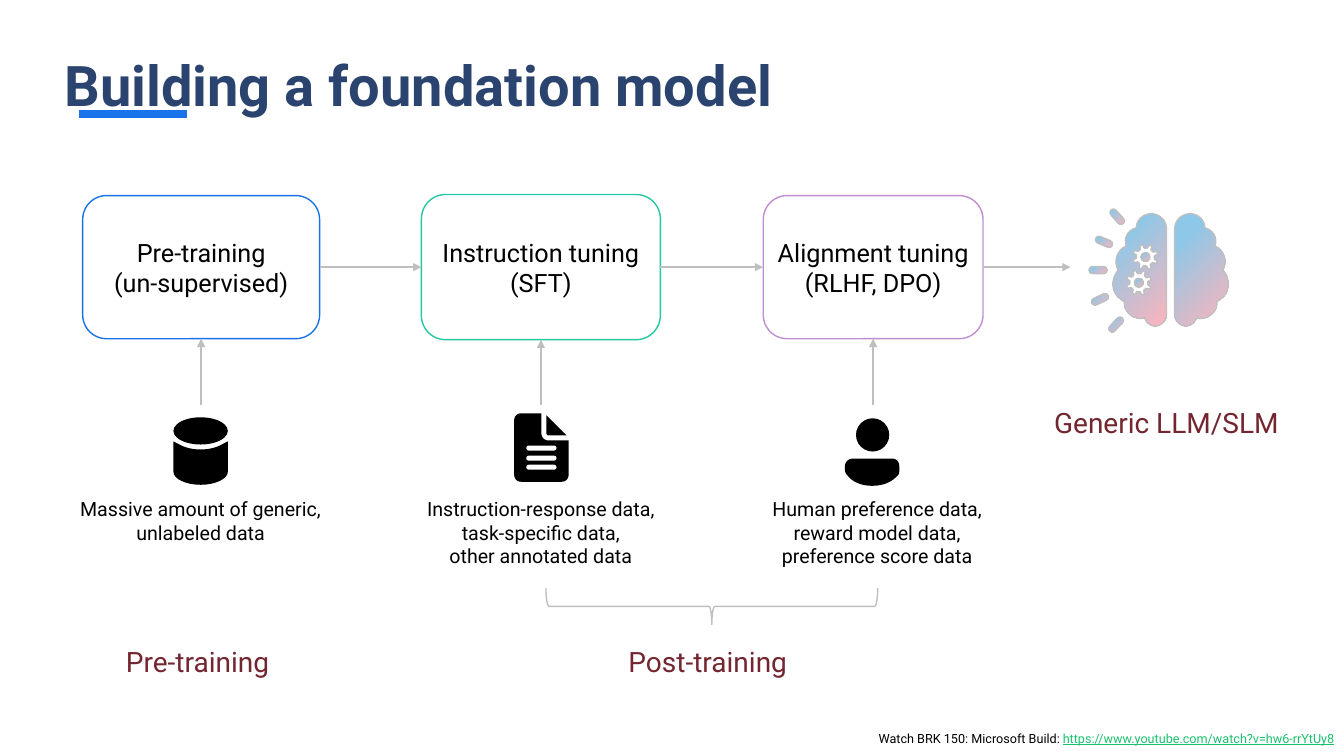
from dataclasses import dataclass
from math import cos, radians, sin

from lxml.etree import SubElement
from pptx import Presentation
from pptx.dml.color import RGBColor as Rgb
from pptx.enum.shapes import MSO_CONNECTOR as Connector, MSO_SHAPE as Preset
from pptx.enum.text import MSO_ANCHOR as Anchor, MSO_AUTO_SIZE as AutoSize, PP_ALIGN as Align
from pptx.oxml.ns import qn
from pptx.util import Pt

PX = 9144  # EMU per px, 100 px to the inch
TOP, LEFT, BOTTOM, RIGHT = range(4)


@dataclass(frozen=True)
class Theme:
    font: str = "Roboto"
    ink: str = "000000"
    paper: str = "FFFFFF"
    title: str = "2A446F"
    label: str = "73262F"
    link: str = "1AC16E"
    gray: str = "BFBFBF"
    blue: str = "1973EB"
    green: str = "25C8A2"
    purple: str = "BF8ED1"
    pink: str = "FFB3BB"
    sky: str = "8DC8E8"
    title_size: int = 40
    label_size: int = 20
    stage_size: int = 18
    data_size: int = 14
    note_size: int = 9


def flatten(contour, steps=8):
    """Turn a start point, lines (x, y) and cubic curves (6 numbers) into points."""
    points = [contour[0]]
    for segment in contour[1:]:
        if len(segment) == 2:
            points.append(segment)
            continue
        (x0, y0), (x1, y1, x2, y2, x3, y3) = points[-1], segment
        for step in range(1, steps + 1):
            t = step / steps
            a, b, c, d = (1 - t) ** 3, 3 * t * (1 - t) ** 2, 3 * t * t * (1 - t), t ** 3
            points.append((a * x0 + b * x1 + c * x2 + d * x3, a * y0 + b * y1 + c * y2 + d * y3))
    return points


def gear(x, y, teeth=8):
    corners = ((-13, 9), (-6, 12.5), (6, 12.5), (13, 9))
    angles = [(radians(25 + 360 / teeth * tooth + turn), radius)
              for tooth in range(teeth) for turn, radius in corners]
    return [(x + radius * cos(angle), y + radius * sin(angle)) for angle, radius in angles]


class Page:
    def __init__(self, deck, theme):
        self.theme = theme
        self.slide = deck.slides.add_slide(deck.slide_layouts[5])
        self.shapes = self.slide.shapes

    def set_text(self, shape, lines, size, color, align=Align.CENTER, bold=False):
        frame = shape.text_frame
        frame.word_wrap = True
        frame.text = "\n".join(lines)
        for para in frame.paragraphs:
            para.alignment = align
            for span in para.runs:
                font = span.font
                font.name, font.size, font.bold = self.theme.font, Pt(size), bold
                font.color.rgb = Rgb.from_string(color)
        return frame

    def margins(self, frame, x, y):
        frame.margin_left = frame.margin_right = x * PX
        frame.margin_top = frame.margin_bottom = y * PX

    def title(self, text, x, y, width, height):
        box = self.shapes.title
        box.left, box.top, box.width, box.height = (n * PX for n in (x, y, width, height))
        frame = self.set_text(box, [text], self.theme.title_size, self.theme.title,
                              Align.LEFT, True)
        frame.vertical_anchor, frame.auto_size = Anchor.TOP, AutoSize.NONE
        self.margins(frame, 0, 0)

    def text(self, lines, x, y, width, height, size, color):
        box = self.shapes.add_textbox(*(n * PX for n in (x, y, width, height)))
        frame = self.set_text(box, lines, size, color)
        self.margins(frame, 0, 0)

    def reference(self, lead, address, x, y, width, height):
        box = self.shapes.add_textbox(*(n * PX for n in (x, y, width, height)))
        frame = self.set_text(box, [lead], self.theme.note_size, self.theme.ink, Align.RIGHT)
        span = frame.paragraphs[0].add_run()
        span.text = address
        span.font.name, span.font.size = self.theme.font, Pt(self.theme.note_size)
        span.font.underline = True
        span.font.color.rgb = Rgb.from_string(self.theme.link)

    def paint(self, shape, fill=None, line=None, weight=1):
        shape.shadow.inherit = False
        if fill:
            shape.fill.solid()
            shape.fill.fore_color.rgb = Rgb.from_string(fill)
        else:
            shape.fill.background()
        if line:
            shape.line.color.rgb = Rgb.from_string(line)
            shape.line.width = Pt(weight)
        else:
            shape.line.fill.background()
        return shape

    def preset(self, kind, x, y, width, height, fill=None, line=None):
        shape = self.shapes.add_shape(kind, *(round(n * PX) for n in (x, y, width, height)))
        return self.paint(shape, fill, line)

    def outline(self, contours, fill=None):
        first, *rest = [[(x * PX, y * PX) for x, y in flatten(c)] for c in contours]
        builder = self.shapes.build_freeform(*first[0])
        builder.add_line_segments(first[1:])
        for points in rest:
            builder.move_to(*points[0])
            builder.add_line_segments(points[1:])
        return self.paint(builder.convert_to_shape(), fill)

    def glow(self, shape):
        """Radial pink to sky fill with a thin gray edge."""
        self.paint(shape, self.theme.pink, self.theme.gray, 0.9)
        shape.fill.gradient()
        stops = zip(shape.fill.gradient_stops, (self.theme.pink, self.theme.sky), (0, 0.8))
        for stop, color, position in stops:
            stop.color.rgb, stop.position = Rgb.from_string(color), position
        gradient = shape._element.spPr.find(qn("a:gradFill"))
        gradient.remove(gradient.find(qn("a:lin")))
        circle = SubElement(gradient, qn("a:path"), {"path": "circle"})
        SubElement(circle, qn("a:fillToRect"), l="100000", t="100000")

    def line(self, x1, y1, x2, y2, color, weight=1, arrow=False):
        line = self.shapes.add_connector(Connector.STRAIGHT, *(n * PX for n in (x1, y1, x2, y2)))
        line.line.color.rgb, line.line.width = Rgb.from_string(color), Pt(weight)
        properties = line._element.spPr
        if arrow:
            SubElement(properties.find(qn("a:ln")), qn("a:tailEnd"), type="triangle")
        SubElement(properties, qn("a:effectLst"))
        return line


def draw_database(page, ink):
    page.preset(Preset.OVAL, 172, 414, 54, 27, ink)
    page.outline([[(220, 441), (222, 440, 224, 439, 226, 438), (226, 468),
                   (226, 475, 214, 481, 199, 481), (184, 481, 172, 475, 172, 468), (172, 438),
                   (174, 439, 176, 440, 178, 441), (183, 444, 191, 446, 199, 446),
                   (207, 446, 215, 444, 220, 441)]], ink)


def draw_document(page, ink, paper):
    page.outline([
        [(537, 430), (537, 410), (517, 410), (513, 410, 510, 413, 510, 417), (510, 471),
         (510, 475, 513, 478, 517, 478), (557, 478), (561, 478, 564, 475, 564, 471), (564, 437),
         (544, 437), (540, 437, 537, 434, 537, 430)],
        [(542, 430), (542, 412), (562, 432), (544, 432), (543, 432, 542, 431, 542, 430)]], ink)
    for y in (442, 452, 461):
        page.preset(Preset.ROUNDED_RECTANGLE, 522, y, 30, 5, paper).adjustments[0] = 0.5


def draw_person(page, ink):
    page.preset(Preset.OVAL, 849, 415, 33, 33, ink)
    page.outline([[(885, 455), (889, 455, 892, 458, 892, 463), (892, 466),
                   (892, 468, 892, 470, 891, 471), (885, 478, 877, 482, 865, 482),
                   (854, 482, 845, 478, 840, 471), (839, 470, 838, 468, 838, 466), (838, 463),
                   (838, 458, 842, 455, 846, 455), (885, 455)]], ink)


def draw_brain(page):
    half = [(1142, 212), (1134, 212, 1127, 218, 1127, 226), (1119, 228, 1114, 236, 1117, 244),
            (1108, 248, 1104, 259, 1109, 268), (1102, 276, 1102, 288, 1109, 295),
            (1111, 296, 1112, 298, 1115, 299), (1114, 308, 1122, 316, 1131, 316),
            (1133, 316, 1134, 316, 1135, 315), (1137, 321, 1143, 325, 1149, 323),
            (1154, 321, 1157, 317, 1157, 312), (1157, 227), (1157, 219, 1150, 212, 1142, 212)]
    mirrored = [tuple(2322 - n if i % 2 == 0 else n for i, n in enumerate(s)) for s in half]
    hubs = ((1136, 255), (1129.5, 280.5))
    page.glow(page.outline([mirrored]))
    page.glow(page.outline([half] + [gear(*hub) for hub in hubs]))
    for x, y in hubs:
        page.glow(page.preset(Preset.OVAL, x - 4.5, y - 4.5, 9, 9))
    # Rays: centre and tilt
    for x, y, tilt in ((1108, 215, 49), (1095, 240, 23), (1089, 268, 0),
                       (1091, 297, -25), (1107, 322, -47)):
        ray = page.preset(Preset.ROUNDED_RECTANGLE, x - 9, y - 3.5, 18, 7)
        ray.adjustments[0], ray.rotation = 0.5, tilt
        page.glow(ray)


def main():
    theme = Theme()
    deck = Presentation()
    deck.slide_width, deck.slide_height = 1333 * PX, 750 * PX
    page = Page(deck, theme)

    # Title
    page.line(78, 113, 185, 113, theme.blue, 6)
    page.title("Building a foundation model", 64, 50, 1205, 61)

    # Stages, each with the data that feeds it
    stages = [
        ((82, 194, 235, 142), theme.blue, ["Pre-training", "(un-supervised)"],
         (59, 493, 280, 47), ["Massive amount of generic, unlabeled data"]),
        ((418, 193, 237, 144), theme.green, ["Instruction tuning (SFT)"],
         (418, 493, 237, 71),
         ["Instruction-response data,", "task-specific data,", "other annotated data"]),
        ((757, 194, 218, 142), theme.purple, ["Alignment tuning (RLHF, DPO)"],
         (758, 493, 224, 71),
         ["Human preference data,", "reward model data, preference score data"]),
    ]
    boxes = []
    for place, color, name, data_place, data in stages:
        box = page.preset(Preset.ROUNDED_RECTANGLE, *place, theme.paper, color)
        frame = page.set_text(box, name, theme.stage_size, theme.ink)
        frame.vertical_anchor = Anchor.MIDDLE
        page.margins(frame, 4, 8)
        boxes.append(box)
        page.text(data, *data_place, theme.data_size, theme.ink)
        middle = place[0] + place[2] // 2
        feed = page.line(middle, 402, middle, 337, theme.gray, arrow=True)
        feed.end_connect(box, BOTTOM)
        feed.begin_x = feed.end_x

    # Flow from stage to stage and on to the model
    for box, following in zip(boxes, boxes[1:] + [None]):
        flow = page.line(975, 265, 1062, 265, theme.gray, arrow=True)
        flow.begin_connect(box, RIGHT)
        if following:
            flow.end_connect(following, LEFT)

    # Phase labels and brace
    for text, place in (("Generic LLM/SLM", (1045, 402, 224, 34)),
                        ("Pre-training", (120, 639, 152, 34)),
                        ("Post-training", (616, 639, 172, 34))):
        page.text([text], *place, theme.label_size, theme.label)
    page.preset(Preset.LEFT_BRACE, 688, 437, 36, 329, line=theme.gray).rotation = 270

    # Icons
    draw_brain(page)
    draw_document(page, theme.ink, theme.paper)
    draw_database(page, theme.ink)
    draw_person(page, theme.ink)

    # Reference
    page.reference("Watch BRK 150: Microsoft Build: ",
                   "https://www.youtube.com/watch?v=hw6-rrYtUy8", 823, 720, 510, 25)
    deck.save("out.pptx")


if __name__ == "__main__":
    main()
